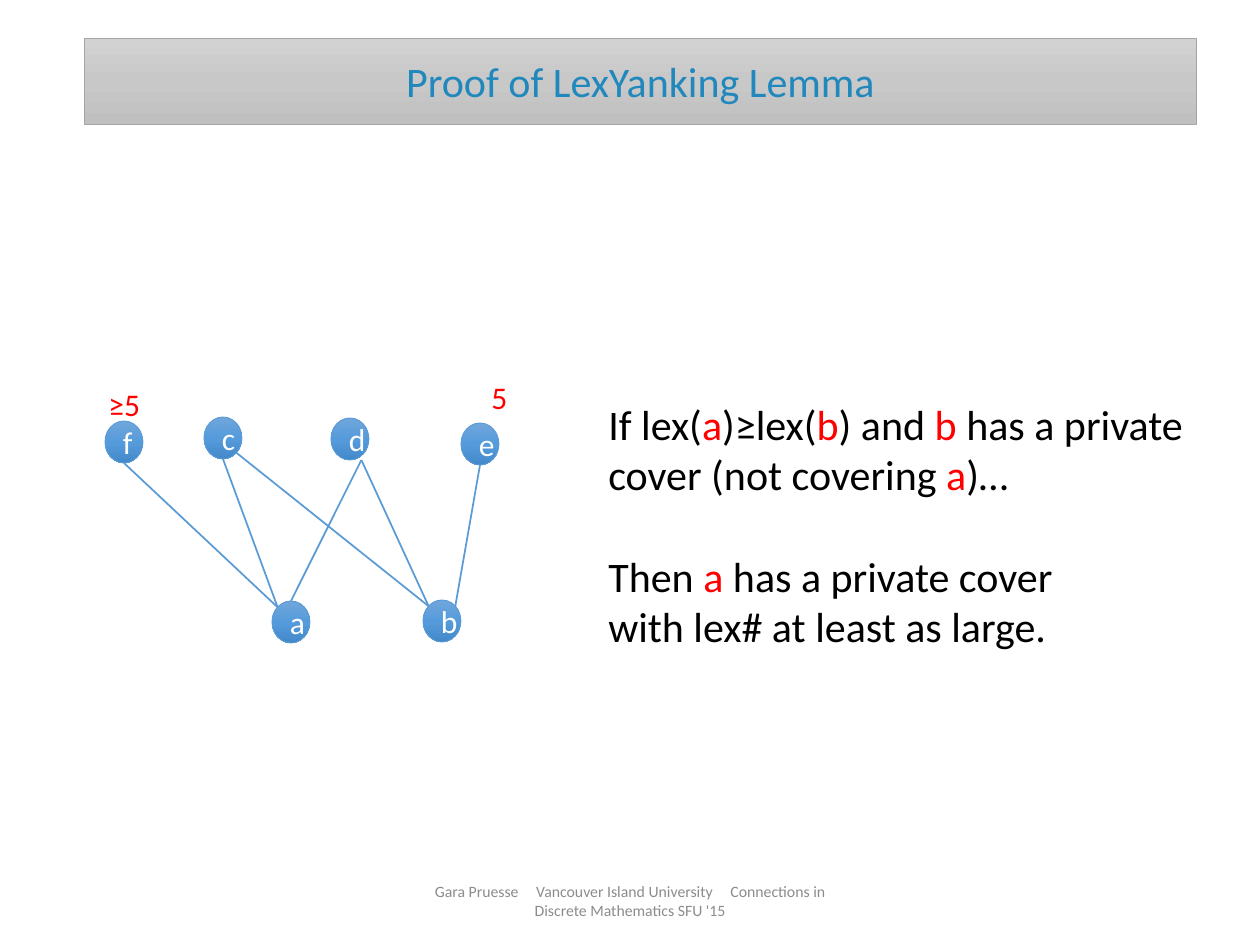
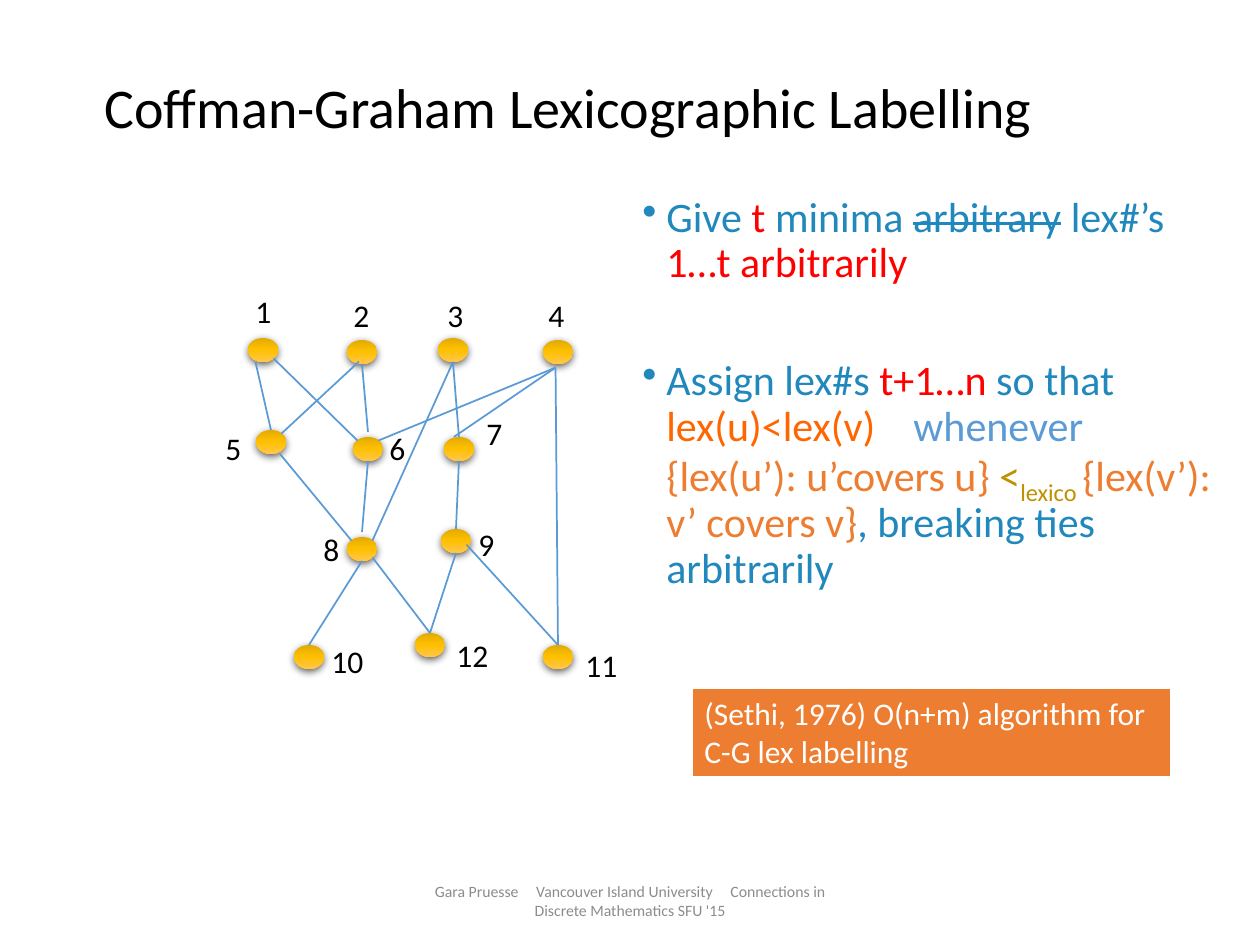
import copy

import pptx
import pptx.dml.color
import pptx.enum.shapes
import pptx.enum.text
import pptx.oxml
import pptx.oxml.ns
import pptx.util

PX = 914400 // 126
FONT = "Calibri"
BLACK, WHITE, RED, GREY = "000000", "FFFFFF", "FF0000", "8C8C8C"
TEAL, BLUE, ORANGE = "2088BC", "5B9BD5", "ED7D31"
VIVID_ORANGE, GOLD = "FF6600", "BF9000"
BLUE_SHADES = ("71A6DB", "559BDB", "448ACA")
GOLD_SHADES = ("E3AB00", "FFC000", "FFC64B")
GREY_SHADES = ("D2D2D2", "C8C8C8", "C0C0C0")

ALIGN = pptx.enum.text.PP_ALIGN
ANCHOR = pptx.enum.text.MSO_ANCHOR
FIT = pptx.enum.text.MSO_AUTO_SIZE
SHAPE = pptx.enum.shapes.MSO_SHAPE

# Text: a paragraph is a list of (words, colour, optional run attributes).
FOOTER_GAP = (" ", GREY, {"spc": "810"})
FOOTER = [[("Gara Pruesse", GREY), FOOTER_GAP, ("Vancouver Island University", GREY),
           FOOTER_GAP, ("Connections in Discrete Mathematics SFU '15", GREY)]]
FOOTER_BOX = (417, 876, 426, 50)

LEMMA_TITLE = [[("Proof of LexYanking Lemma", TEAL)]]
LEMMA_TITLE_BOX = (84, 38, 1113, 86)
LEMMA_BOX = (596, 392, 609, 269)
LEMMA = [
    [("If lex(", BLACK), ("a", RED), (")≥lex(", BLACK), ("b", RED), (") and", BLACK),
     (" b ", RED), ("has a private", BLACK)],
    [("cover (not covering ", BLACK), ("a", RED), (")…", BLACK)],
    [("Then ", BLACK), ("a", RED), (" has a private cover", BLACK)],
    [("with lex# at least as large.", BLACK)],
]
LEMMA_SPACE_BEFORE = {2: 29.3}

LABELLING_TITLE = [[("Coffman-Graham Lexicographic Labelling", BLACK)]]
LABELLING_TITLE_BOX = (92, 74, 1134, 73)
RULES_BOX = (630, 190, 596, 624)
RULES = [
    [("Give ", TEAL), ("t", RED), (" minima ", TEAL),
     ("arbitrary", TEAL, {"strike": "sngStrike"}), (" lex#’s ", TEAL),
     ("1…t arbitrarily", RED)],
    [("Assign lex#s ", TEAL), ("t+1…n ", RED), ("so that ", TEAL),
     ("lex(u)<lex(v)", VIVID_ORANGE), (" ", VIVID_ORANGE, {"spc": "1630"}),
     ("whenever", BLUE), (" {lex(u’): u’covers u} ", ORANGE), ("<", GOLD),
     ("lexico ", GOLD, {"baseline": "-25000"}), ("{lex(v’): v’ covers v}", ORANGE),
     (", breaking ties arbitrarily", TEAL)],
]
RULES_SPACE_BEFORE = {1: 41.4}
SETHI_BOX = (692, 688, 479, 89)
SETHI = [[("(Sethi, 1976) O(n+m) algorithm for", WHITE)], [("C-G lex labelling", WHITE)]]

# Graphs: node corners, edges as (node, site, node, site), label corners.
SITES = {
    "top": (0.5, 0), "bottom": (0.5, 1), "above": (0.5, -0.2),
    "top left": (0.15, 0.15), "top right": (0.85, 0.15),
    "bottom right": (0.85, 0.85), "low right": (0.85, 0.65),
    "foot left": (0.25, 1), "foot right": (0.8, 1), "below": (0.42, 1.15),
    "inner left": (0.4, 0.9), "crown left": (0.33, 0),
}
LEMMA_NODE_SIZE = (38, 42)
LEMMA_NODES = {"a": (272, 601), "b": (423, 600), "e": (461, 423),
               "d": (331, 418), "c": (204, 417), "f": (105, 421)}
LEMMA_EDGES = [
    ("c", "bottom", "a", "top left"), ("c", "bottom right", "b", "top left"),
    ("d", "foot right", "a", "top"), ("d", "foot right", "b", "top left"),
    ("e", "bottom", "b", "top right"), ("f", "bottom", "a", "top left"),
]
LEMMA_LABELS = {"5": (479, 372), "≥5": (96, 379)}

ORDER_NODE_SIZE = (30, 24)
ORDER_NODES = {
    "1": (248, 338), "2": (347, 340), "3": (438, 338), "4": (543, 340),
    "5": (256, 430), "6": (353, 437), "7": (444, 437),
    "8": (347, 537), "9": (441, 529),
    "10": (294, 645), "12": (415, 633), "11": (543, 645),
}
ORDER_EDGES = [
    ("1", "foot left", "5", "top"), ("2", "bottom", "6", "above"),
    ("3", "bottom", "7", "top"), ("4", "below", "11", "top"),
    ("1", "bottom right", "6", "top left"), ("5", "foot right", "8", "top left"),
    ("7", "bottom", "9", "top"), ("4", "below", "6", "top right"),
    ("6", "bottom", "8", "above"), ("8", "bottom right", "12", "top"),
    ("9", "bottom", "12", "top"), ("9", "low right", "11", "top"),
    ("8", "bottom", "10", "top"), ("3", "bottom", "8", "top right"),
    ("2", "inner left", "5", "top right"), ("4", "below", "7", "crown left"),
]
ORDER_LABELS = {
    "1": (243, 286), "2": (341, 290), "3": (435, 290), "4": (536, 290),
    "5": (213, 423), "6": (377, 423), "7": (474, 408), "8": (311, 524),
    "9": (466, 519), "10": (319, 636), "11": (573, 640), "12": (444, 630),
}


def rgb(value):
    return pptx.dml.color.RGBColor.from_string(value)


def px(*lengths):
    return [round(length * PX) for length in lengths]


def apply(target, **values):
    for name, value in values.items():
        setattr(target, name, value)


def write(frame, paragraphs, size, space_before=None, **paragraph_format):
    for number, runs in enumerate(paragraphs):
        paragraph = frame.add_paragraph() if number else frame.paragraphs[0]
        apply(paragraph, **paragraph_format)
        if space_before and number in space_before:
            paragraph.space_before = pptx.util.Pt(space_before[number])
        for words, colour, *extras in runs:
            run = paragraph.add_run()
            run.text = words
            apply(run.font, size=pptx.util.Pt(size), name=FONT)
            run.font.color.rgb = rgb(colour)
            for attributes in extras:
                for name, value in attributes.items():
                    run._r.get_or_add_rPr().set(name, value)


def shade(shape, colours):
    """Fill with three colours running from top to bottom."""
    shape.fill.gradient()
    shape.fill.gradient_angle = 270
    stop_list = shape._element.spPr.find(".//" + pptx.oxml.ns.qn("a:gsLst"))
    stop_list.insert(1, copy.deepcopy(stop_list[0]))
    for stop, position, colour in zip(shape.fill.gradient_stops, (0, 0.5, 1), colours):
        stop.position = position
        stop.color.rgb = rgb(colour)


def outline(shape, colour, width):
    shape.line.color.rgb = rgb(colour)
    shape.line.width = pptx.util.Pt(width)


def add_effects(shape, content=""):
    shape._element.spPr.append(pptx.oxml.parse_xml(
        f'<a:effectLst {pptx.oxml.ns.nsdecls("a")}>{content}</a:effectLst>'))


def drop_shadow(shape):
    add_effects(shape, '<a:outerShdw blurRad="57150" dist="19050" dir="5400000" '
                       'algn="ctr" rotWithShape="0"><a:srgbClr val="000000">'
                       '<a:alpha val="63000"/></a:srgbClr></a:outerShdw>')


def add_text(slide, box, paragraphs, size, frame_format, **text_format):
    frame = slide.shapes.add_textbox(*px(*box)).text_frame
    apply(frame, **frame_format)
    write(frame, paragraphs, size, **text_format)
    return frame


GROWING = {"word_wrap": False, "auto_size": FIT.SHAPE_TO_FIT_TEXT}


def start_slide(deck, title, box, size, **text_format):
    """Add a slide with its title and the shared footer."""
    slide = deck.slides.add_slide(deck.slide_layouts[5])
    heading = slide.shapes.title
    apply(heading, **dict(zip(("left", "top", "width", "height"), px(*box))))
    apply(heading.text_frame, word_wrap=True, auto_size=FIT.NONE,
          vertical_anchor=ANCHOR.MIDDLE)
    write(heading.text_frame, title, size, **text_format)
    add_text(slide, FOOTER_BOX, FOOTER, 9,
             {"word_wrap": True, "vertical_anchor": ANCHOR.MIDDLE}, alignment=ALIGN.CENTER)
    return slide


def add_nodes(slide, nodes, size, shades):
    ovals = {}
    for name, corner in nodes.items():
        oval = slide.shapes.add_shape(SHAPE.OVAL, *px(*corner, *size))
        shade(oval, shades)
        ovals[name] = oval
    return ovals


def add_edges(slide, edges, nodes, size):
    def point(node, site):
        return [corner + length * part
                for corner, length, part in zip(nodes[node], size, SITES[site])]

    for upper, upper_site, lower, lower_site in edges:
        edge = slide.shapes.add_connector(
            pptx.enum.shapes.MSO_CONNECTOR.STRAIGHT,
            *px(*point(upper, upper_site), *point(lower, lower_site)))
        outline(edge, BLUE, 1)
        add_effects(edge)


def add_labels(slide, labels, colour):
    for words, corner in labels.items():
        box = (*corner, 26 + 16 * len(words), 50)
        add_text(slide, box, [[(words, colour)]], 18, GROWING)


def add_bullet(paragraph):
    properties = paragraph._p.get_or_add_pPr()
    indent = px(24)[0]
    properties.set("marL", str(indent))
    properties.set("indent", str(-indent))
    properties.append(pptx.oxml.parse_xml(
        f'<a:buChar {pptx.oxml.ns.nsdecls("a")} char="•"/>'))


def build_lemma(deck):
    slide = start_slide(deck, LEMMA_TITLE, LEMMA_TITLE_BOX, 24, alignment=ALIGN.CENTER)
    shade(slide.shapes.title, GREY_SHADES)
    outline(slide.shapes.title, "A5A5A5", 0.5)
    for name, oval in add_nodes(slide, LEMMA_NODES, LEMMA_NODE_SIZE, BLUE_SHADES).items():
        outline(oval, BLUE, 0.5)
        oval.shadow.inherit = False
        write(oval.text_frame, [[(name, WHITE)]], 18, alignment=ALIGN.CENTER)
    add_edges(slide, LEMMA_EDGES, LEMMA_NODES, LEMMA_NODE_SIZE)
    add_labels(slide, LEMMA_LABELS, RED)
    add_text(slide, LEMMA_BOX, LEMMA, 24, GROWING, space_before=LEMMA_SPACE_BEFORE)


def build_labelling(deck):
    slide = start_slide(deck, LABELLING_TITLE, LABELLING_TITLE_BOX, 32,
                        alignment=ALIGN.LEFT, line_spacing=0.9)
    rules = add_text(slide, RULES_BOX, RULES, 24, {"word_wrap": True},
                     space_before=RULES_SPACE_BEFORE, line_spacing=0.9)
    for paragraph in rules.paragraphs:
        add_bullet(paragraph)
    for oval in add_nodes(slide, ORDER_NODES, ORDER_NODE_SIZE, GOLD_SHADES).values():
        oval.line.fill.background()
        drop_shadow(oval)
    add_edges(slide, ORDER_EDGES, ORDER_NODES, ORDER_NODE_SIZE)
    add_labels(slide, ORDER_LABELS, BLACK)

    sethi = slide.shapes.add_shape(SHAPE.RECTANGLE, *px(*SETHI_BOX))
    sethi.shadow.inherit = False
    sethi.fill.solid()
    sethi.fill.fore_color.rgb = rgb(ORANGE)
    outline(sethi, WHITE, 1.5)
    apply(sethi.text_frame, vertical_anchor=ANCHOR.TOP, **GROWING)
    write(sethi.text_frame, SETHI, 18, alignment=ALIGN.LEFT)


def main():
    deck = pptx.Presentation()
    apply(deck, slide_width=pptx.util.Inches(10), slide_height=pptx.util.Inches(7.5))
    build_lemma(deck)
    build_labelling(deck)
    deck.save("out.pptx")


if __name__ == "__main__":
    main()
